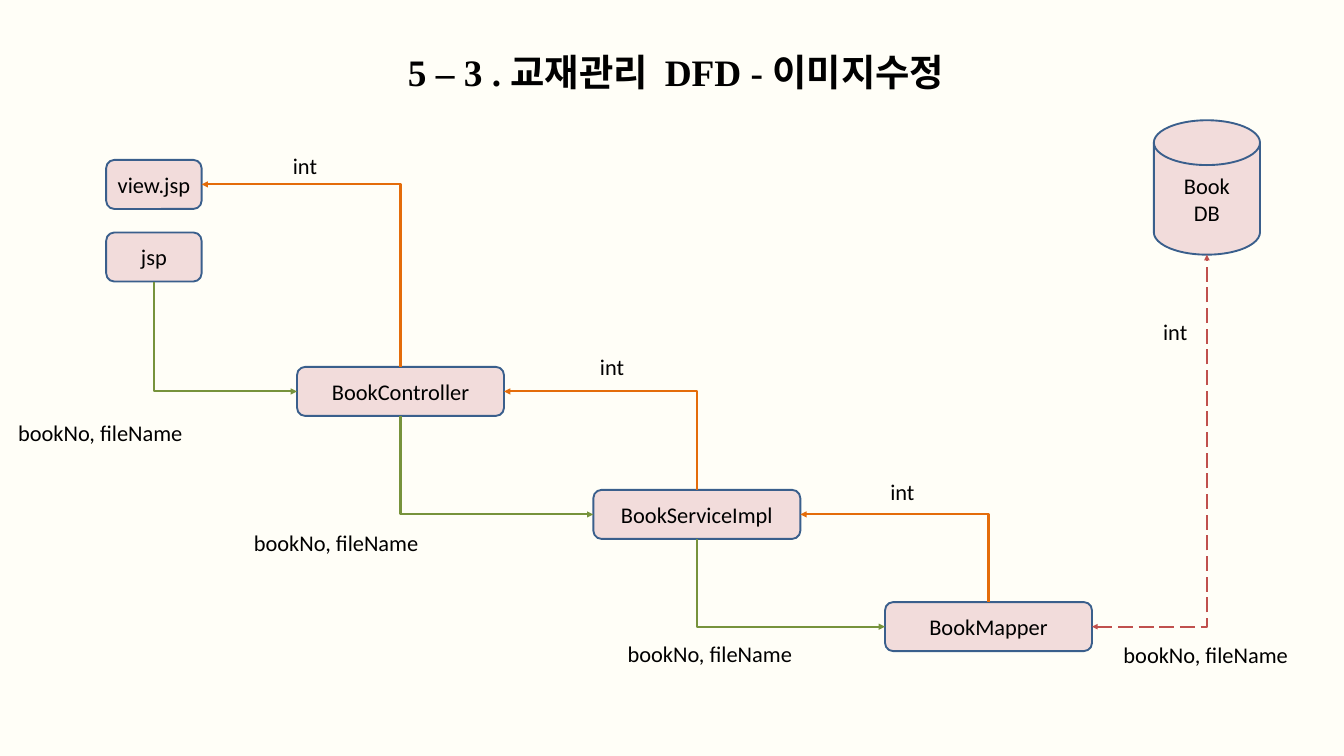
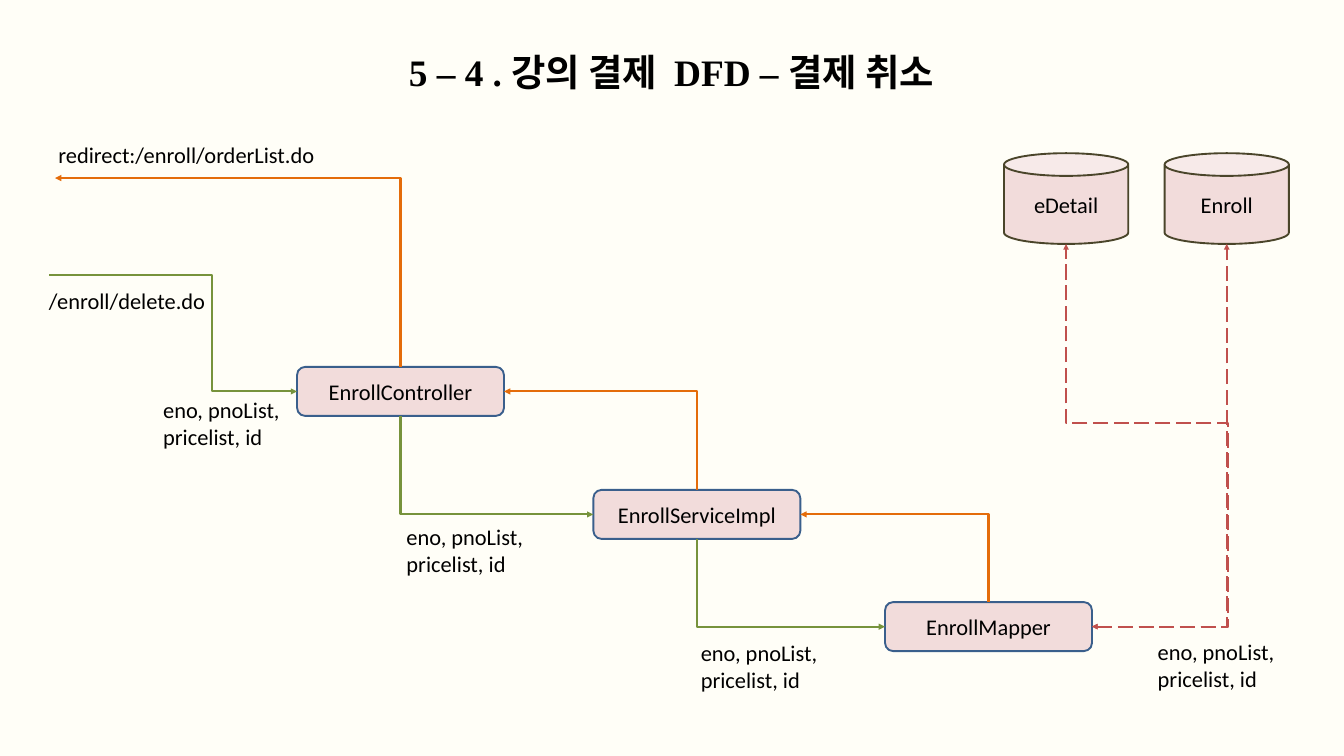
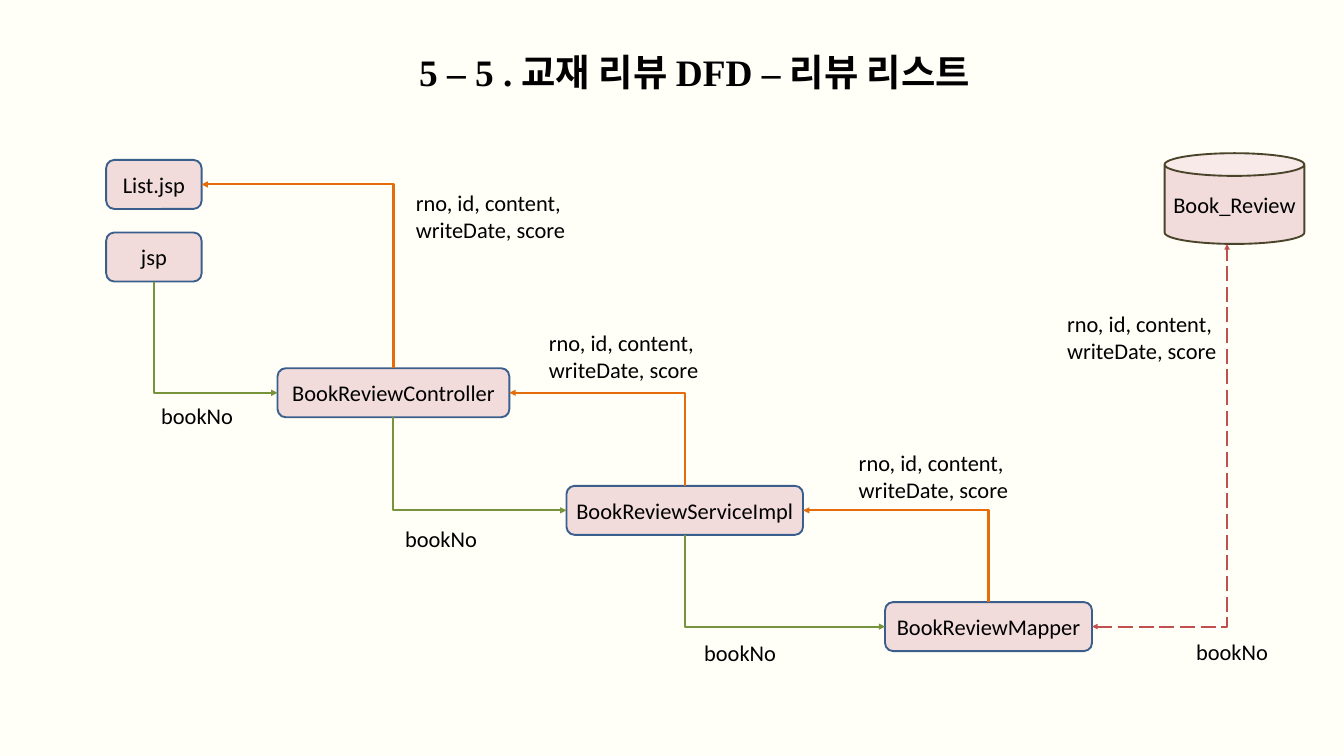
"""Build three data flow diagrams for book, enrolment and review features."""
from lxml.etree import SubElement
from pptx import Presentation
from pptx.dml.color import RGBColor
from pptx.enum.dml import MSO_LINE
from pptx.enum.shapes import MSO_CONNECTOR, MSO_SHAPE
from pptx.enum.text import MSO_ANCHOR, MSO_AUTO_SIZE, PP_ALIGN
from pptx.oxml.ns import qn
from pptx.util import Inches, Pt

CREAM = RGBColor(0xFF, 0xFE, 0xF7)
PINK = RGBColor(0xF2, 0xDC, 0xDB)
BLUE = RGBColor(0x3A, 0x5F, 0x8C)
BROWN = RGBColor(0x4A, 0x45, 0x2A)
GREEN = RGBColor(0x77, 0x93, 0x3C)
ORANGE = RGBColor(0xE4, 0x6C, 0x0A)
RED = RGBColor(0xC0, 0x50, 0x4D)
BLACK = RGBColor(0, 0, 0)

TOP, LEFT, BOTTOM, RIGHT = range(4)
SIDES = {TOP: (0.5, 0), LEFT: (0, 0.5), BOTTOM: (0.5, 1), RIGHT: (1, 0.5)}
CYLINDER_SITES = {TOP: 1, LEFT: 2, BOTTOM: 3, RIGHT: 4}

BOX_HEIGHT = 0.73
PAGE_SPOT = (1.58, 3.46, 1.42, BOX_HEIGHT)
VIEW_SPOT = (1.58, 2.38, 1.42, BOX_HEIGHT)
CONTROLLER_SPOT = (4.42, 5.46, 3.08, BOX_HEIGHT)
SERVICE_SPOT = (8.83, 7.29, 3.08, BOX_HEIGHT)
MAPPER_SPOT = (13.17, 8.96, 3.08, BOX_HEIGHT)

BOX = (MSO_SHAPE.ROUNDED_RECTANGLE, BLUE)
DISK = (MSO_SHAPE.FLOWCHART_MAGNETIC_DISK, BLUE)
CAN = (MSO_SHAPE.CAN, BROWN)

CALL = dict(color=GREEN, width=2.25)
ANSWER = dict(color=ORANGE, width=2.25)
QUERY = dict(color=RED, width=2, dash=MSO_LINE.LONG_DASH, both_ends=True)

LAYER_LINKS = [
    (("controller", BOTTOM), ("service", LEFT), (), CALL),
    (("service", BOTTOM), ("mapper", LEFT), (), CALL),
    (("mapper", TOP), ("service", RIGHT), (), ANSWER),
    (("service", TOP), ("controller", RIGHT), (), ANSWER),
]
PAGE_LINKS = [
    (("page", BOTTOM), ("controller", LEFT), (), CALL),
    (("controller", TOP), ("view", RIGHT), (), ANSWER),
]

FILE_KEYS = "bookNo, fileName"
ORDER_KEYS = "eno, pnoList,\npricelist, id"
REVIEW_FIELDS = "rno, id, content,\nwriteDate, score"

DIAGRAMS = [
    dict(
        title="5 – 3 . 교재관리  DFD - 이미지수정",
        title_span=(5.58, 8.96),
        nodes={
            "database": ("Book\nDB", (17.17, 1.79, 1.58, 2), DISK),
            "page": ("jsp", PAGE_SPOT, BOX),
            "view": ("view.jsp", VIEW_SPOT, BOX),
            "controller": ("BookController", CONTROLLER_SPOT, BOX),
            "service": ("BookServiceImpl", SERVICE_SPOT, BOX),
            "mapper": ("BookMapper", MAPPER_SPOT, BOX),
        },
        links=PAGE_LINKS + LAYER_LINKS + [
            (("mapper", RIGHT), ("database", BOTTOM), (), QUERY),
        ],
        labels=[
            ("int", 0.57, [(17.21, 4.69), (13.15, 7.07), (8.83, 5.21), (4.26, 2.22)]),
            (FILE_KEYS, 2.67, [(0.17, 6.19), (3.68, 7.82), (9.24, 9.48), (16.62, 9.49)]),
        ],
    ),
    dict(
        title="5 – 4 . 강의 결제  DFD – 결제 취소",
        title_span=(5.75, 8.48),
        nodes={
            "enroll": ("Enroll", (17.33, 2.28, 1.85, 1.35), CAN),
            "detail": ("eDetail", (14.94, 2.28, 1.85, 1.35), CAN),
            "controller": ("EnrollController", CONTROLLER_SPOT, BOX),
            "service": ("EnrollServiceImpl", SERVICE_SPOT, BOX),
            "mapper": ("EnrollMapper", MAPPER_SPOT, BOX),
        },
        links=LAYER_LINKS + [
            ((0.73, 4.09), ("controller", LEFT), (3.15,), CALL),
            (("controller", TOP), (0.82, 2.65), (), ANSWER),
            (("mapper", RIGHT), ("detail", BOTTOM), (18.28, 6.3), QUERY),
            (("mapper", RIGHT), ("enroll", BOTTOM), (), QUERY),
        ],
        labels=[
            (ORDER_KEYS, 1.95, [(2.33, 5.84), (5.95, 7.74), (10.33, 9.46), (17.13, 9.45)]),
            ("/enroll/delete.do", 2.55, [(0.63, 4.22)]),
            ("redirect:/enroll/orderList.do", 4.05, [(0.77, 2.05)]),
        ],
    ),
    dict(
        title="5 – 5 . 교재 리뷰 DFD – 리뷰 리스트",
        title_span=(5.42, 9.83),
        nodes={
            "database": ("Book_Review", (17.33, 2.28, 2.08, 1.35), CAN),
            "page": ("jsp", PAGE_SPOT, BOX),
            "view": ("List.jsp", VIEW_SPOT, BOX),
            "controller": ("BookReviewController", (4.13, 5.48, 3.45, BOX_HEIGHT), BOX),
            "service": ("BookReviewServiceImpl", (8.43, 7.23, 3.52, BOX_HEIGHT), BOX),
            "mapper": ("BookReviewMapper", MAPPER_SPOT, BOX),
        },
        links=PAGE_LINKS + LAYER_LINKS + [
            (("mapper", RIGHT), (18.26, 3.63), (), QUERY),
        ],
        labels=[
            ("bookNo", 1.28, [(2.3, 5.94), (5.93, 7.77), (10.38, 9.46), (17.7, 9.44)]),
            (REVIEW_FIELDS, 2.45, [(12.68, 6.64), (15.78, 4.57), (8.07, 4.85), (6.09, 2.77)]),
        ],
    ),
]


def write(shape, text, size=24, font="Calibri", bold=False, align=PP_ALIGN.LEFT,
          anchor=MSO_ANCHOR.TOP, wrap=True, fit=MSO_AUTO_SIZE.NONE):
    """Fill a shape with formatted text, one paragraph per line."""
    frame = shape.text_frame
    frame.text = text
    frame.word_wrap = wrap
    frame.auto_size = fit
    frame.vertical_anchor = anchor
    for paragraph in frame.paragraphs:
        paragraph.alignment = align
        for run in paragraph.runs:
            run.font.size = Pt(size)
            run.font.name = font
            run.font.bold = bold
            run.font.color.rgb = BLACK


def place(shape, left, top, width, height):
    """Set the position and size of a shape in inches."""
    shape.left, shape.top = Inches(left), Inches(top)
    shape.width, shape.height = Inches(width), Inches(height)


def add_node(slide, text, spot, style):
    """Add a component box or a database cylinder."""
    kind, outline = style
    shape = slide.shapes.add_shape(kind, *map(Inches, spot))
    shape.shadow.inherit = False
    shape.fill.solid()
    shape.fill.fore_color.rgb = PINK
    shape.line.color.rgb = outline
    shape.line.width = Pt(2)
    write(shape, text, align=PP_ALIGN.CENTER, anchor=MSO_ANCHOR.MIDDLE)
    return shape


def locate(end, nodes):
    """Return the point of a link end, given as (node, side) or as (x, y)."""
    if end[0] not in nodes:
        return end
    left, top, width, height = nodes[end[0]][1]
    across, down = SIDES[end[1]]
    return left + across * width, top + down * height


def join(connect, end, nodes, shapes):
    """Attach a connector end to its node, if it has one."""
    if end[0] in nodes:
        name, side = end
        is_box = nodes[name][2] is BOX
        connect(shapes[name], side if is_box else CYLINDER_SITES[side])


def add_link(slide, start, end, bends, nodes, shapes, color, width,
             dash=None, both_ends=False):
    """Add a bent arrow that leaves its start at a right angle to the side."""
    (x1, y1), (x2, y2) = locate(start, nodes), locate(end, nodes)
    link = slide.shapes.add_connector(MSO_CONNECTOR.ELBOW, 0, 0, 0, 0)
    join(link.begin_connect, start, nodes, shapes)
    join(link.end_connect, end, nodes, shapes)

    across, down = x2 - x1, y2 - y1
    run, rise = abs(across), abs(down)
    flip_h, flip_v = across < 0, down < 0
    if start[0] in nodes and start[1] in (TOP, BOTTOM):
        link.rotation = 270
        run, rise = rise, run
        flip_h, flip_v = down > 0, across < 0
    place(link, (x1 + x2 - run) / 2, (y1 + y2 - rise) / 2, run, rise)
    properties = link._element.spPr
    transform = properties.find(qn("a:xfrm"))
    transform.set("flipH", str(int(flip_h)))
    transform.set("flipV", str(int(flip_v)))

    geometry = properties.find(qn("a:prstGeom"))
    geometry.set("prst", f"bentConnector{2 + len(bends)}")
    guides = geometry.find(qn("a:avLst"))
    for number, (bend, origin, span) in enumerate(zip(bends, (x1, y1), (across, down)), 1):
        share = round((bend - origin) / span * 100000)
        SubElement(guides, qn("a:gd"), name=f"adj{number}", fmla=f"val {share}")

    link.line.color.rgb = color
    link.line.width = Pt(width)
    if dash:
        link.line.dash_style = dash
    line = properties.find(qn("a:ln"))
    for tag in ("a:headEnd", "a:tailEnd") if both_ends else ("a:tailEnd",):
        SubElement(line, qn(tag), type="triangle")
    SubElement(properties, qn("a:effectLst"))


def add_diagram(presentation, title, title_span, nodes, links, labels):
    """Add one slide with a title, nodes, links and labels."""
    slide = presentation.slides.add_slide(presentation.slide_layouts[5])
    left, width = title_span
    place(slide.shapes.title, left, 0.68, width, 0.77)
    write(slide.shapes.title, title, size=40, font="Times New Roman", bold=True,
          align=PP_ALIGN.CENTER)
    shapes = {name: add_node(slide, *node) for name, node in nodes.items()}
    for start, end, bends, style in links:
        add_link(slide, start, end, bends, nodes, shapes, **style)
    for text, width, spots in labels:
        height = 0.5 + 0.41 * text.count("\n")
        for left, top in spots:
            label = slide.shapes.add_textbox(*map(Inches, (left, top, width, height)))
            write(label, text, wrap=False, fit=MSO_AUTO_SIZE.SHAPE_TO_FIT_TEXT)


def main():
    """Build and save the presentation."""
    presentation = Presentation()
    presentation.slide_width, presentation.slide_height = Inches(20), Inches(11.25)
    background = presentation.slide_master.background.fill
    background.solid()
    background.fore_color.rgb = CREAM
    for diagram in DIAGRAMS:
        add_diagram(presentation, **diagram)
    presentation.save("out.pptx")


if __name__ == "__main__":
    main()
